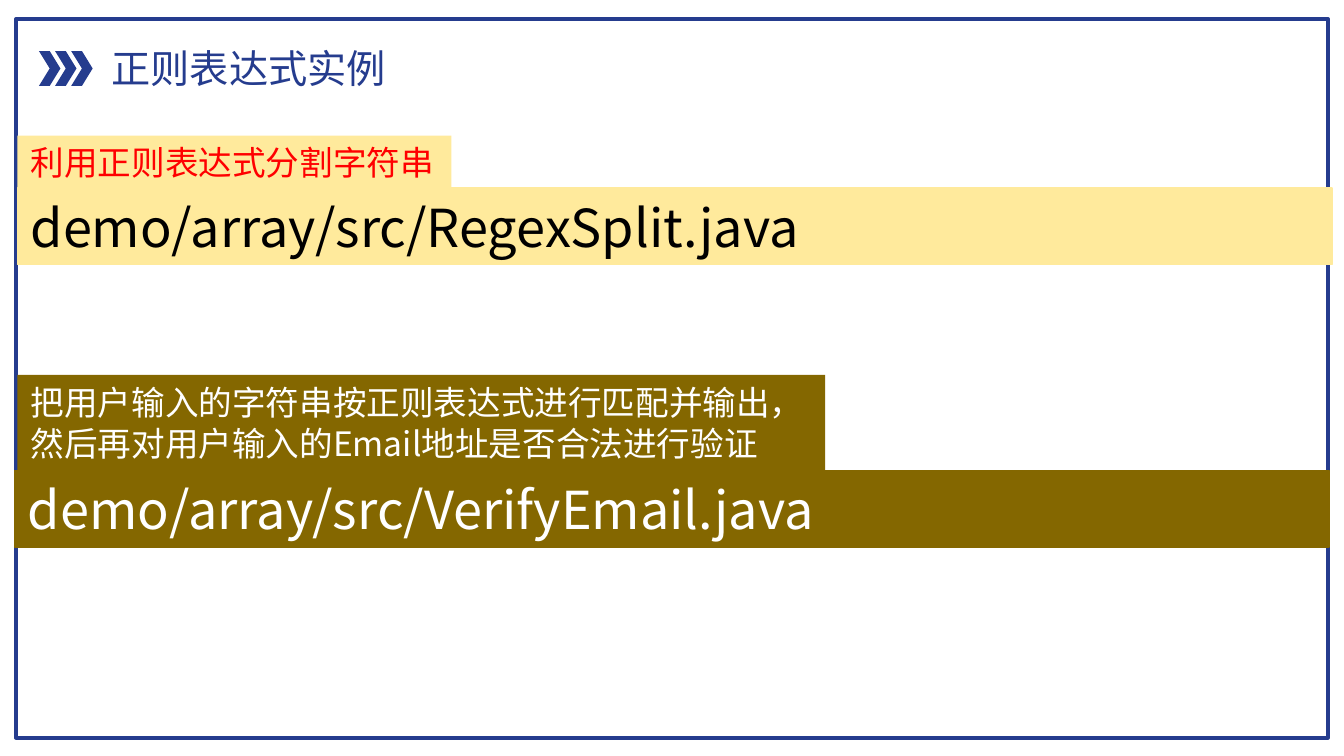
from dataclasses import dataclass

from lxml.etree import SubElement
from pptx import Presentation
from pptx.dml.color import RGBColor
from pptx.enum.shapes import MSO_SHAPE as Shape
from pptx.enum.text import MSO_ANCHOR as Anchor, PP_ALIGN as Align
from pptx.oxml.ns import qn
from pptx.util import Inches, Pt

FONT = "Noto Sans CJK SC"
NAVY, WHITE, BLACK, RED = "253C8E", "FFFFFF", "000000", "FF0000"
CREAM, BROWN = "FFEA9C", "846700"
SLIDE_WIDTH = 10
SLIDE_HEIGHT = SLIDE_WIDTH * 9 / 16


@dataclass
class Box:
    left: float
    top: float
    width: float
    height: float


@dataclass
class Banner:
    box: Box
    lines: list[str]
    size: float
    fill: str
    color: str
    outlined: bool


def rgb(value: str) -> RGBColor:
    return RGBColor.from_string(value)


def place(shape, box: Box) -> None:
    shape.left, shape.top = Inches(box.left), Inches(box.top)
    shape.width, shape.height = Inches(box.width), Inches(box.height)


def add_shape(slide, kind, box: Box, fill: str = "", line: str = "", weight: float = 0.75):
    shape = slide.shapes.add_shape(kind, 0, 0, 0, 0)
    place(shape, box)
    shape.shadow.inherit = False
    if fill:
        shape.fill.solid()
        shape.fill.fore_color.rgb = rgb(fill)
    else:
        shape.fill.background()
    if line:
        shape.line.color.rgb = rgb(line)
        shape.line.width = Pt(weight)
    else:
        shape.line.fill.background()
    return shape


def write(shape, lines: list[str], size: float, color: str, wrap: bool = False) -> None:
    frame = shape.text_frame
    frame.text = "\n".join(lines)
    frame.word_wrap = wrap
    frame.vertical_anchor = Anchor.MIDDLE
    for paragraph in frame.paragraphs:
        paragraph.alignment = Align.LEFT
        font = paragraph.font
        font.size = Pt(size)
        font.color.rgb = rgb(color)
        font.name = FONT
        # Chinese characters take the East Asian typeface
        properties = paragraph._p.pPr.find(qn("a:defRPr"))
        SubElement(properties, qn("a:ea"), typeface=FONT)


def add_banner(slide, banner: Banner) -> None:
    line = banner.fill if banner.outlined else ""
    shape = add_shape(slide, Shape.RECTANGLE, banner.box, banner.fill, line)
    write(shape, banner.lines, banner.size, banner.color, wrap=banner.outlined)


BANNERS = [
    # File names
    Banner(Box(0.13, 1.4, 9.78, 0.57), ["demo/array/src/RegexSplit.java"],
           28, CREAM, BLACK, True),
    Banner(Box(0.11, 3.5, 9.78, 0.57), ["demo/array/src/VerifyEmail.java"],
           28, BROWN, WHITE, True),
    # Descriptions
    Banner(Box(0.13, 1.01, 3.23, 0.4), ["利用正则表达式分割字符串"],
           18, CREAM, RED, False),
    Banner(Box(0.13, 2.79, 6.01, 0.71),
           ["把用户输入的字符串按正则表达式进行匹配并输出，",
            "然后再对用户输入的Email地址是否合法进行验证"],
           18, BROWN, WHITE, False),
]


def main() -> None:
    presentation = Presentation()
    presentation.slide_width = Inches(SLIDE_WIDTH)
    presentation.slide_height = Inches(SLIDE_HEIGHT)
    slide = presentation.slides.add_slide(presentation.slide_layouts[5])

    # Frame
    add_shape(slide, Shape.RECTANGLE, Box(0.12, 0.14, 9.76, 5.35), line=NAVY, weight=2)

    # Title with its chevrons
    for index in range(3):
        add_shape(slide, Shape.CHEVRON, Box(0.29 + 0.12 * index, 0.38, 0.16, 0.26), NAVY)
    title = slide.shapes.title
    place(title, Box(0.73, 0.28, 2.26, 0.45))
    write(title, ["正则表达式实例"], 21, NAVY)

    # Banners
    for banner in BANNERS:
        add_banner(slide, banner)

    presentation.save("out.pptx")


if __name__ == "__main__":
    main()
